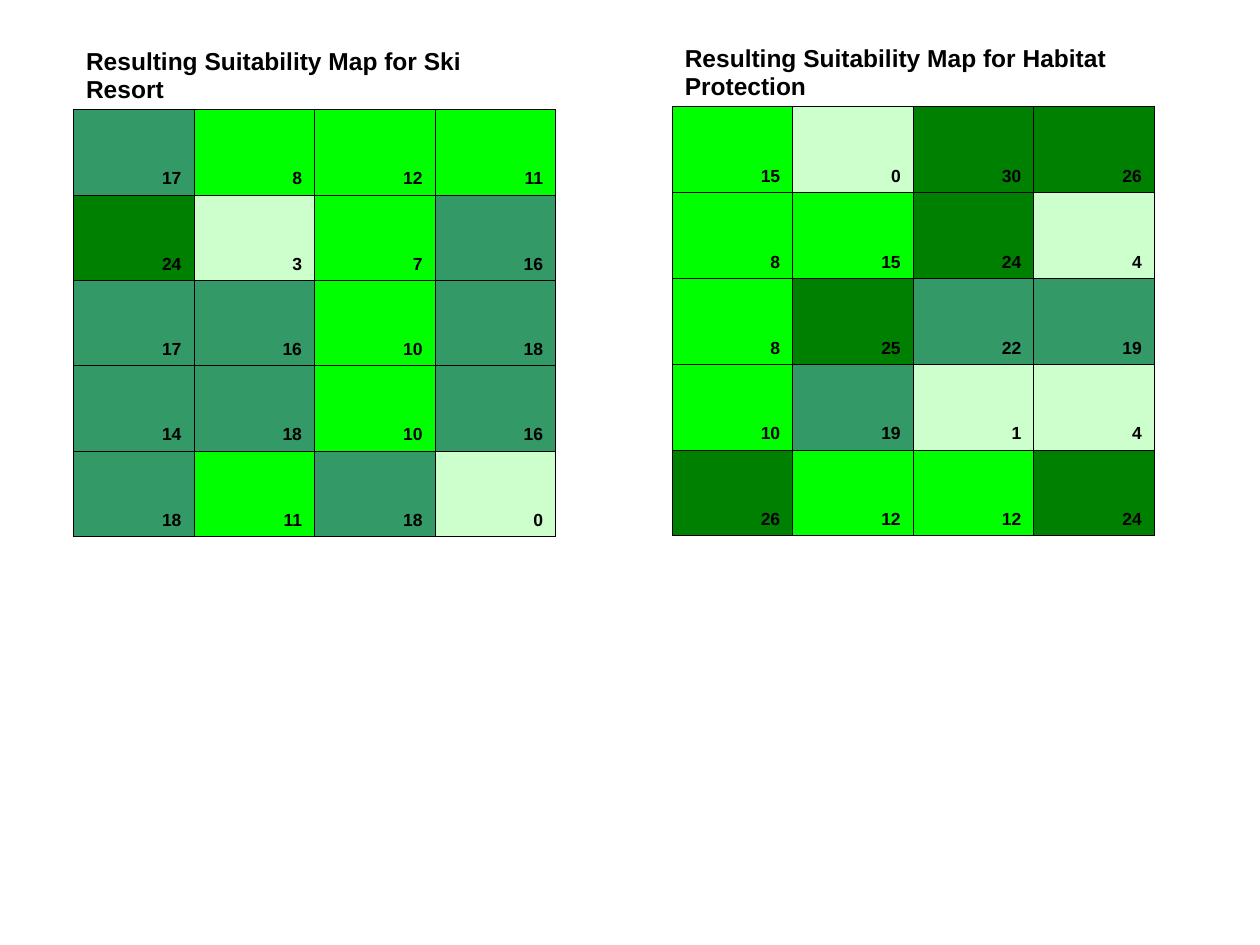
from dataclasses import dataclass
from math import ceil

from lxml.etree import SubElement
from pptx import Presentation
from pptx.dml.color import RGBColor
from pptx.enum.text import MSO_ANCHOR, PP_ALIGN
from pptx.oxml.ns import qn
from pptx.util import Cm, Pt

COLUMN_WIDTH = 2.43
CLASS_COLORS = ("CCFFCC", "00FF00", "339966", "008000")
BLACK = "000000"
ALL_SIDES = "LRTB"


@dataclass
class SuitabilityMap:
    title: str
    left: float
    top: float
    title_height: float
    row_height: float
    scores: list[list[int]]


MAPS = (
    SuitabilityMap(
        "Resulting Suitability Map for Ski Resort", 1.48, 0.43, 1.78, 1.72,
        [[17, 8, 12, 11],
         [24, 3, 7, 16],
         [17, 16, 10, 18],
         [14, 18, 10, 16],
         [18, 11, 18, 0]],
    ),
    SuitabilityMap(
        "Resulting Suitability Map for Habitat Protection", 13.55, 0.21, 1.94, 1.73,
        [[15, 0, 30, 26],
         [8, 15, 24, 4],
         [8, 25, 22, 19],
         [10, 19, 1, 4],
         [26, 12, 12, 24]],
    ),
)


def color(value: str) -> RGBColor:
    return RGBColor.from_string(value)


def class_color(score: int, highest: int) -> str:
    interval = highest / len(CLASS_COLORS)
    return CLASS_COLORS[max(ceil(score / interval) - 1, 0)]


def set_borders(cell, visible_sides: str) -> None:
    properties = cell._tc.get_or_add_tcPr()
    for side in ALL_SIDES:
        line = SubElement(properties, qn(f"a:ln{side}"), w=str(Pt(0.45)))
        if side in visible_sides:
            fill = SubElement(line, qn("a:solidFill"))
            SubElement(fill, qn("a:srgbClr"), val=BLACK)
        else:
            SubElement(line, qn("a:noFill"))


def write_text(cell, text: str, size: float, alignment: PP_ALIGN) -> None:
    cell.vertical_anchor = MSO_ANCHOR.BOTTOM
    cell.text_frame.text = text
    para = cell.text_frame.paragraphs[0]
    para.alignment = alignment
    font = para.runs[0].font
    font.name = "Arial"
    font.size = Pt(size)
    font.bold = True
    font.color.rgb = color(BLACK)


def draw_map(page, suitability: SuitabilityMap) -> None:
    scores = suitability.scores
    row_count, column_count = len(scores), len(scores[0])
    height = suitability.title_height + row_count * suitability.row_height
    table = page.shapes.add_table(
        row_count + 1, column_count, Cm(suitability.left), Cm(suitability.top),
        Cm(column_count * COLUMN_WIDTH), Cm(height),
    ).table
    table.first_row = False
    table.horz_banding = False
    for column in table.columns:
        column.width = Cm(COLUMN_WIDTH)
    for row in table.rows:
        row.height = Cm(suitability.row_height)
    table.rows[0].height = Cm(suitability.title_height)

    for cell in table.rows[0].cells:
        set_borders(cell, "B")
        cell.fill.background()
    title_cell = table.cell(0, 0)
    title_cell.merge(table.cell(0, column_count - 1))
    write_text(title_cell, suitability.title, 14, PP_ALIGN.LEFT)

    highest = max(map(max, scores))
    for row_index, row_scores in enumerate(scores, start=1):
        for column_index, score in enumerate(row_scores):
            cell = table.cell(row_index, column_index)
            set_borders(cell, ALL_SIDES)
            cell.fill.solid()
            cell.fill.fore_color.rgb = color(class_color(score, highest))
            write_text(cell, str(score), 10, PP_ALIGN.RIGHT)


def main() -> None:
    deck = Presentation()
    deck.slide_width, deck.slide_height = Cm(25.4), Cm(19.05)
    page = deck.slides.add_slide(deck.slide_layouts[6])
    for suitability in MAPS:
        draw_map(page, suitability)
    deck.save("out.pptx")


if __name__ == "__main__":
    main()
